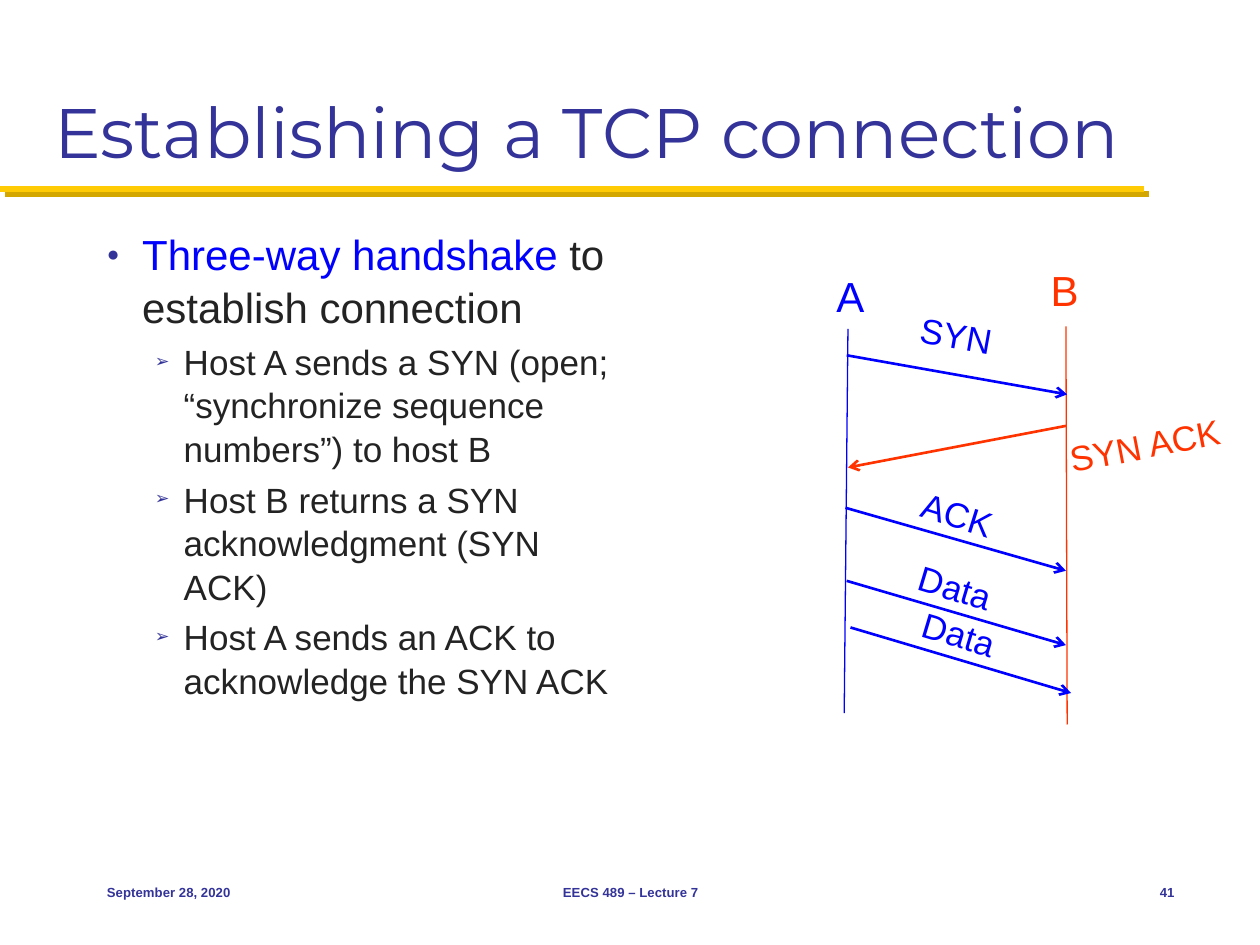
from lxml import etree
from pptx import Presentation
from pptx.dml.color import RGBColor
from pptx.enum.shapes import MSO_CONNECTOR as CONN
from pptx.enum.text import MSO_ANCHOR as ANCHOR, PP_ALIGN as ALIGN
from pptx.oxml import parse_xml
from pptx.oxml.ns import nsdecls, qn
from pptx.util import Inches, Pt

NAVY, BLUE, RED, INK, GOLD = "333399", "0000FF", "FF3300", "232323", "FFCB05"

prs = Presentation()
prs.slide_width, prs.slide_height = Inches(10), Inches(7.5)
s = prs.slides.add_slide(prs.slide_layouts[5])


def add_line(start, end, color, width, arrow=False):
    ln = s.shapes.add_connector(CONN.STRAIGHT, *map(Inches, start + end))
    ln.line.color.rgb = RGBColor.from_string(color)
    ln.line.width = Pt(width)
    if arrow:
        etree.SubElement(ln.line._get_or_add_ln(), qn("a:tailEnd"), type="arrow")
    return etree.SubElement(ln._element.spPr, qn("a:effectLst"))


def add_label(text, box, size, color, align=ALIGN.CENTER, rotation=0, bold=False):
    sp = s.shapes.add_textbox(*map(Inches, box))
    sp.rotation = rotation
    tf = sp.text_frame
    tf.word_wrap = True
    tf.vertical_anchor = ANCHOR.MIDDLE
    p = tf.paragraphs[0]
    p.text, p.alignment = text, align
    font = p.runs[0].font
    font.name, font.size, font.bold = "Arial", Pt(size), bold
    font.color.rgb = RGBColor.from_string(color)


# Title and the rule under it
effects = add_line((0, 1.5), (9.08, 1.5), GOLD, 3.5)
effects.append(parse_xml(
    f'<a:outerShdw {nsdecls("a")} dist="{Pt(4.2)}" dir="2700000" algn="ctr" rotWithShape="0">'
    '<a:srgbClr val="D3A600"/></a:outerShdw>'))

title = s.shapes.title
title.left, title.top, title.width, title.height = map(Inches, (0.33, 0.17, 9.33, 1.25))
tf = title.text_frame
tf.text = "Establishing a TCP connection"
tf.vertical_anchor = ANCHOR.BOTTOM
p = tf.paragraphs[0]
p.alignment = ALIGN.LEFT
font = p.runs[0].font
font.name, font.size = "Montserrat", Pt(40)
font.color.rgb = RGBColor.from_string(NAVY)

# Bulleted explanation: level and coloured runs
points = [
    (0, [("Three-way handshake", BLUE), (" to establish connection", INK)]),
    (1, [("Host A sends a SYN (open; “synchronize sequence numbers”) to host B", INK)]),
    (1, [("Host B returns a SYN acknowledgment (SYN ACK)", INK)]),
    (1, [("Host A sends an ACK to acknowledge the SYN ACK", INK)]),
]
levels = [(24, 0.28, -0.28, "●"), (20, 0.61, -0.23, "➢")]  # size, margin, indent, bullet

tf = s.shapes.add_textbox(*map(Inches, (0.75, 1.75, 4.25, 4.83))).text_frame
tf.word_wrap = True
for i, (level, runs) in enumerate(points):
    size, margin, indent, bullet = levels[level]
    p = tf.add_paragraph() if i else tf.paragraphs[0]
    p.level = level
    p.line_spacing = 1.04
    if i:
        p.space_before = Pt(size * 0.2)
    pPr = p._p.get_or_add_pPr()
    pPr.set("marL", str(Inches(margin)))
    pPr.set("indent", str(Inches(indent)))
    color = etree.SubElement(pPr, qn("a:buClr"))
    etree.SubElement(color, qn("a:srgbClr"), val=NAVY)
    etree.SubElement(pPr, qn("a:buSzPct"), val="50000")
    etree.SubElement(pPr, qn("a:buFont"), typeface="Arial")
    etree.SubElement(pPr, qn("a:buChar"), char=bullet)
    for text, run_color in runs:
        r = p.add_run()
        r.text = text
        r.font.name, r.font.size = "Arial", Pt(size)
        r.font.color.rgb = RGBColor.from_string(run_color)

# Sequence diagram: host timelines, then messages in order
hosts = [
    ("B", (8.24, 2.05, 0.42, 0.5), (8.46, 2.59), (8.47, 5.75), RED),
    ("A", (6.53, 2.1, 0.44, 0.5), (6.73, 2.61), (6.7, 5.66), BLUE),
]
for name, box, top, bottom, color in hosts:
    add_line(top, bottom, color, 0.75)
    add_label(name, box, 24, color)

messages = [
    ("SYN", (6.72, 2.82), (8.47, 3.13), (7.18, 2.44, 0.82, 0.44), 10.1, BLUE),
    ("SYN ACK", (8.46, 3.38), (6.73, 3.71), (8.37, 3.31, 1.43, 0.44), -10.9, RED),
    ("ACK", (6.71, 4.03), (8.46, 4.53), (7.18, 3.86, 0.84, 0.44), 17.4, BLUE),
    ("Data", (6.72, 4.61), (8.46, 5.12), (7.16, 4.44, 0.84, 0.44), 16.7, BLUE),
    ("Data", (6.75, 4.98), (8.5, 5.5), (7.19, 4.81, 0.84, 0.44), 16.7, BLUE),
]
for text, start, end, box, angle, color in messages:
    add_line(start, end, color, 1.5, arrow=True)
    add_label(text, box, 20, color, rotation=angle)

# Footer
footer = [
    ("September 28, 2020", 0.75, 2.08, ALIGN.LEFT),
    ("EECS 489 – Lecture 7", 3.42, 3.17, ALIGN.CENTER),
    ("41", 8.75, 0.67, ALIGN.RIGHT),
]
for text, left, width, align in footer:
    add_label(text, (left, 6.83, width, 0.5), 7.5, NAVY, align, bold=True)

prs.save("out.pptx")
